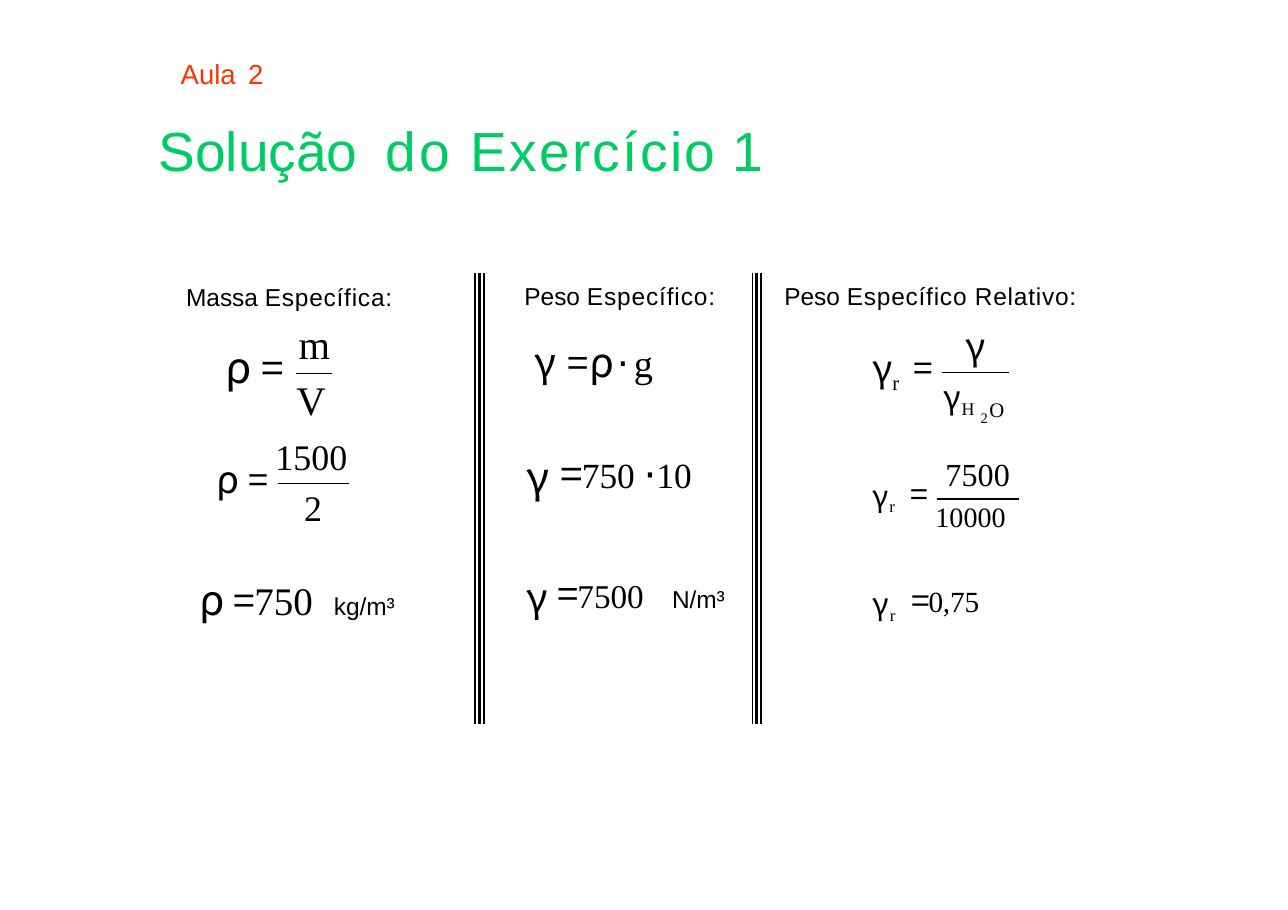
from dataclasses import dataclass

from lxml import etree
from pptx import Presentation
from pptx.dml.color import RGBColor
from pptx.enum.shapes import MSO_CONNECTOR
from pptx.enum.text import MSO_ANCHOR, MSO_AUTO_SIZE, PP_ALIGN
from pptx.oxml.ns import qn
from pptx.util import Inches, Pt

STRAIGHT = MSO_CONNECTOR.STRAIGHT
TOP = MSO_ANCHOR.TOP
LEFT = PP_ALIGN.LEFT
NO_FIT = MSO_AUTO_SIZE.NONE
SANS, SERIF, SYMBOL = "Arial", "Times New Roman", "Noto Sans CJK JP"
COLORS = {"text": "000000", "lesson": "FF3200", "title": "00CC65"}


@dataclass
class Run:
    text: str
    size: float
    font: str = SERIF
    spacing: float = 0  # points between letters
    baseline: int = 0   # percent raised or lowered


@dataclass
class Label:
    x: float
    y: float
    w: float
    h: float
    leading: float
    runs: list[Run]
    color: str = "text"


@dataclass
class Rule:
    x1: float
    y1: float
    x2: float
    y2: float
    weight: float


def sym(text: str, size: float, spacing: float = 0, baseline: int = 0) -> Run:
    return Run(text, size, SYMBOL, spacing, baseline)


def sans(text: str, size: float = 16, spacing: float = 0) -> Run:
    return Run(text, size, SANS, spacing)


def fill_label(sp, label: Label) -> None:
    sp.left, sp.top = Inches(label.x), Inches(label.y)
    sp.width, sp.height = Inches(label.w), Inches(label.h)
    tf = sp.text_frame
    tf.word_wrap, tf.auto_size, tf.vertical_anchor = True, NO_FIT, TOP
    tf.margin_left = Inches(0.01)
    tf.margin_top = tf.margin_right = tf.margin_bottom = 0
    p = tf.paragraphs[0]
    p.alignment = LEFT
    p.line_spacing = Pt(label.leading)
    p.space_before = Pt(round(label.leading * 0.05, 1))
    p.font.color.rgb = RGBColor.from_string(COLORS[label.color])
    same_font = len({run.font for run in label.runs}) == 1
    same_size = len({run.size for run in label.runs}) == 1
    if same_font:
        p.font.name = label.runs[0].font
    if same_size:
        p.font.size = Pt(label.runs[0].size)
    for run in label.runs:
        r = p.add_run()
        r.text = run.text
        if not same_font:
            r.font.name = run.font
        if not same_size:
            r.font.size = Pt(run.size)
        props = r._r.get_or_add_rPr()
        if run.spacing:
            props.set("spc", str(round(run.spacing * 100)))
        if run.baseline:
            props.set("baseline", str(run.baseline * 1000))


def add_label(slide, label: Label) -> None:
    fill_label(slide.shapes.add_textbox(0, 0, 0, 0), label)


def add_rule(slide, rule: Rule) -> None:
    line = slide.shapes.add_connector(STRAIGHT, Inches(rule.x1), Inches(rule.y1),
                                      Inches(rule.x2), Inches(rule.y2))
    line.line.color.rgb = RGBColor.from_string(COLORS["text"])
    line.line.width = Pt(rule.weight)
    etree.SubElement(line._element.spPr, qn("a:effectLst"))


TITLE = Label(1.43, 1.13, 5.6, 0.53, 37.8, [
    sans("Solução", 36), sans(" ", 36, 8.3), sans("do ", 36, 1.8),
    sans("Exercício", 36, 1.5), sans(" 1", 36, -0.5)], "title")

HEADINGS = [
    Label(1.63, 0.55, 0.85, 0.28, 19.4,
          [sans("Aula", 18), sans(" ", 18, 3), sans("2", 18)], "lesson"),
    Label(1.68, 2.59, 2.1, 0.25, 17.3, [sans("Massa "), sans("Específica:", 16, 0.55)]),
    Label(4.75, 2.58, 1.95, 0.25, 17.3, [sans("Peso "), sans("Específico:", 16, 0.6)]),
    Label(7.11, 2.58, 2.9, 0.25, 17.3,
          [sans("Peso "), sans("Específico Relativo:", 16, 0.55)]),
]

MASS = [
    Label(2.04, 3.14, 0.63, 0.42, 30.4, [sym("ρ ", 28), sym("=", 26.5, -6.6)]),
    Label(2.7, 2.94, 0.37, 0.4, 28.3, [Run("m", 26.5)]),
    Label(2.68, 3.45, 0.33, 0.4, 28.3, [Run("V", 26.5)]),
    Label(1.96, 4.17, 0.56, 0.37, 26.9, [sym("ρ ", 24.5), sym("=", 23.5, -6)]),
    Label(2.49, 3.99, 0.74, 0.35, 25, [Run("1500", 23.5)]),
    Label(2.75, 4.45, 0.25, 0.35, 25, [Run("2", 23.5)]),
    Label(1.8, 5.26, 1.22, 0.4, 29.1,
          [sym("ρ ", 27), sym("= ", 25.5, -6.6), Run("750", 25.5)]),
    Label(3.02, 5.39, 0.65, 0.25, 17.3, [sans("kg/m³")]),
]

WEIGHT = [
    Label(4.84, 3.1, 0.24, 0.4, 28.6, [sym("γ", 26.5, -4.6)]),
    Label(5.14, 3.1, 1.01, 0.4, 28.7, [
        sym("= ", 25, -5.2), sym("ρ ", 26.5, -4.2), sym("⋅ ", 25, -2.3), Run("g", 25)]),
    Label(4.77, 4.14, 0.25, 0.42, 30.1, [sym("γ", 28, -4.9)]),
    Label(5.08, 4.15, 1.48, 0.4, 29.1, [
        sym("= ", 26.5, -6.8), Run("750 ", 39.8, baseline=1),
        sym("⋅", 26.5, -1.3), Run("10", 39.8, baseline=1)]),
    Label(4.77, 5.24, 0.24, 0.39, 28.4, [sym("γ", 26, -4.5)]),
    Label(5.05, 5.25, 1.06, 0.38, 27.4,
          [sym("= ", 25, -6.4), Run("7500", 37.5, baseline=1)]),
    Label(6.09, 5.33, 0.6, 0.25, 17.3, [sans("N/m³")]),
]

RELATIVE = [
    Label(7.91, 3.17, 0.23, 0.37, 26.6, [sym("γ", 24.5, -4.3)]),
    Label(8.09, 3.38, 0.14, 0.22, 14.8, [Run("r", 13.5)]),
    Label(8.28, 3.18, 0.27, 0.35, 25.2, [sym("=", 23, -5.7)]),
    Label(8.75, 2.97, 0.23, 0.37, 26.6, [sym("γ", 24.5, -4.3)]),
    Label(8.55, 3.42, 0.42, 0.42, 30.6,
          [sym("γ ", 36.8, -4.3, 5), Run("H", 20.2, baseline=-11)]),
    Label(8.89, 3.72, 0.13, 0.16, 10.8, [Run("2", 9.5)]),
    Label(8.97, 3.62, 0.21, 0.22, 14.8, [Run("O", 13.5)]),
    Label(7.91, 4.33, 0.33, 0.39, 28.3,
          [sym("γ ", 33.8, -3.9, 5), Run("r", 18.8, baseline=-9)]),
    Label(8.25, 4.34, 0.27, 0.33, 22.8, [sym("=", 21, -5.2)]),
    Label(8.57, 4.16, 0.68, 0.32, 22.7, [Run("7500", 21, spacing=0.1)]),
    Label(8.48, 4.66, 0.8, 0.25, 16.7, [Run("10000", 31.5, spacing=0.1, baseline=3)]),
    Label(7.91, 5.3, 0.33, 0.4, 29.1,
          [sym("γ ", 34.5, -4, 4), Run("r", 18.8, baseline=-12)]),
    Label(8.26, 5.32, 0.85, 0.34, 24.3,
          [sym("= ", 22, -5.7), Run("0,75", 33, spacing=-0.1, baseline=1)]),
]

FRACTION_BARS = [
    Rule(2.69, 3.39, 3.01, 3.39, 1.1),
    Rule(2.52, 4.39, 3.17, 4.39, 1),
    Rule(8.55, 3.38, 9.16, 3.38, 1),
    Rule(8.5, 4.53, 9.25, 4.53, 0.9),
]

# Each column divider is a thick line between two thin ones
DIVIDERS = [Rule(x + dx, 2.48, x + dx, 6.57, weight)
            for x in (4.35, 6.87)
            for dx, weight in ((-0.04, 1.1), (0, 2), (0.04, 1.1))]

prs = Presentation()
prs.slide_width, prs.slide_height = Inches(11.69), Inches(8.26)
slide = prs.slides.add_slide(prs.slide_layouts[5])

# Title, column dividers and fraction bars
fill_label(slide.shapes.title, TITLE)
for rule in DIVIDERS + FRACTION_BARS:
    add_rule(slide, rule)

# Headings and the three columns of equations
for label in HEADINGS + MASS + WEIGHT + RELATIVE:
    add_label(slide, label)

prs.save("out.pptx")
